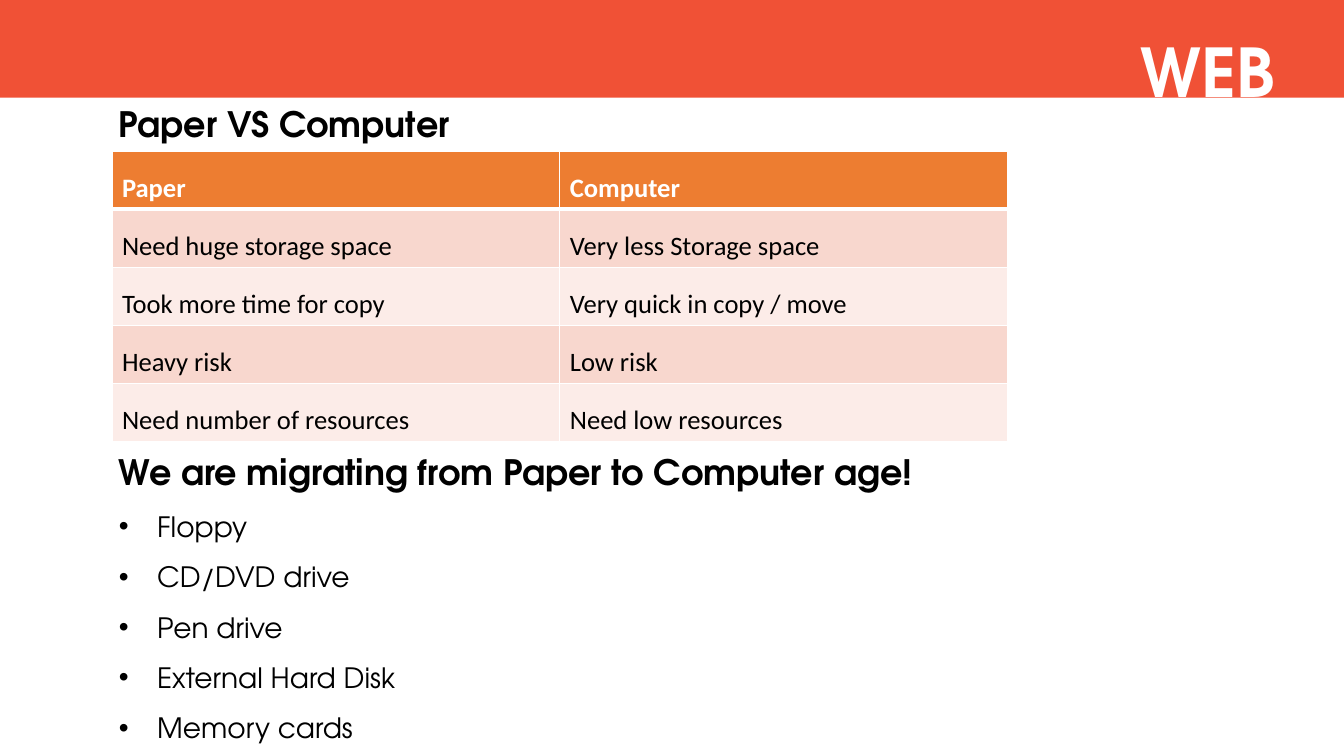
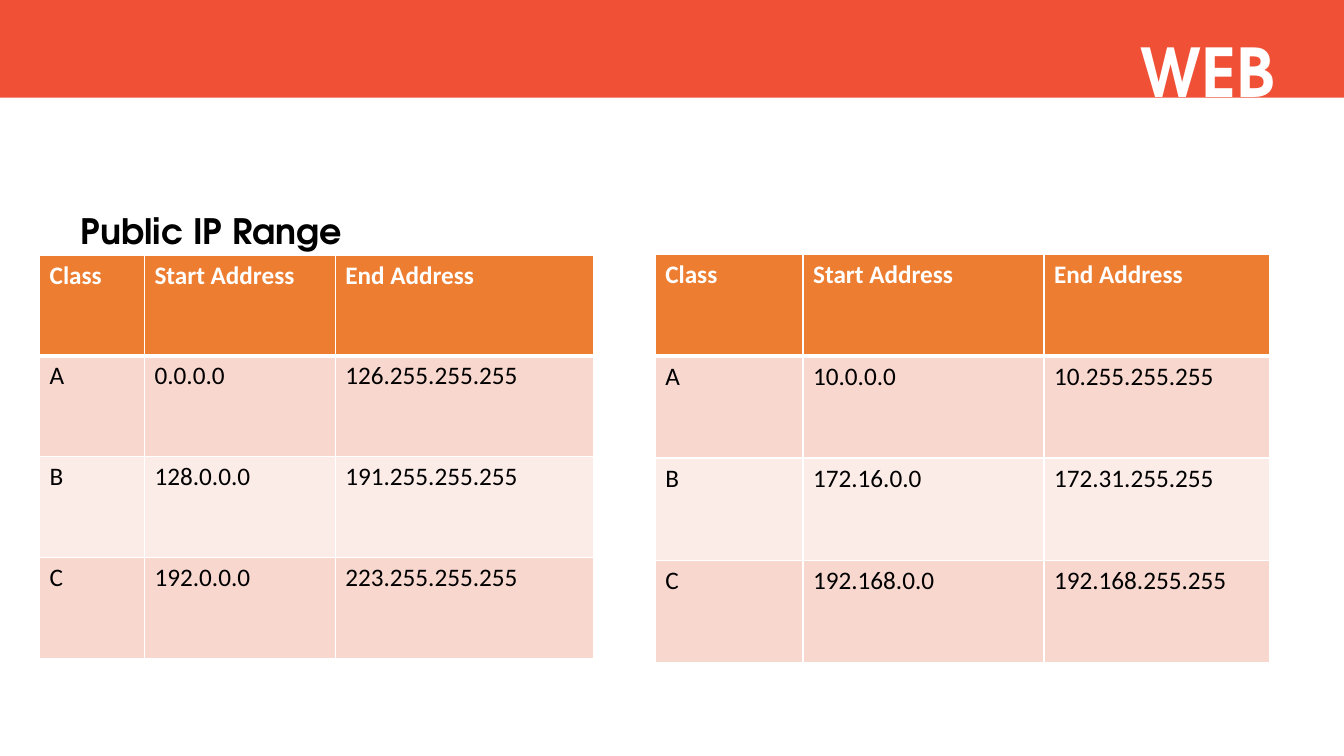
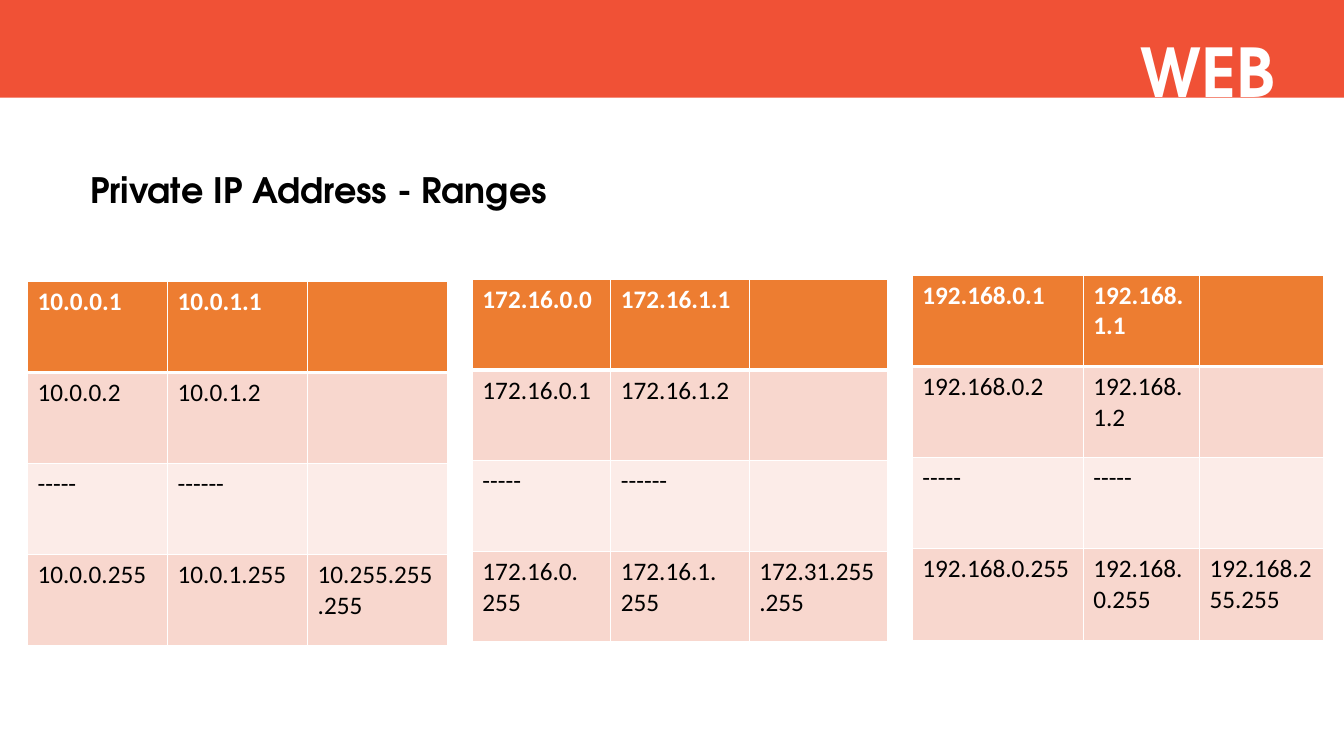
"""Build three slides on storage media and IP address ranges."""
from pptx import Presentation as Deck
from pptx.dml.color import RGBColor as Rgb
from pptx.enum.shapes import MSO_SHAPE as Kind
from pptx.enum.text import MSO_ANCHOR as Anchor, MSO_AUTO_SIZE as Auto, PP_ALIGN as Align
from pptx.oxml.ns import qn
from pptx.util import Inches, Pt
from lxml.etree import SubElement as Sub

WIDE, HIGH = Inches(13.33), Inches(7.5)
HUES = {"band": "F05136", "head": "ED7D31", "odd": "F8D7CE",
        "even": "FCECE8", "ink": "000000", "white": "FFFFFF"}
FACE, GRID = "TeX Gyre Adventor", "Calibri"


def hue(name):
    """Return a named colour."""
    return Rgb.from_string(HUES[name])


def across(share):
    """Turn a percentage of the width into a length."""
    return int(WIDE * share / 100)


def down(share):
    """Turn a percentage of the height into a length."""
    return int(HIGH * share / 100)


def area(left, top, width, height):
    """Turn four percentages into a place and a size."""
    return across(left), down(top), across(width), down(height)


def style(para, size, color="ink", bold=True, face=FACE):
    """Set the font of a paragraph."""
    font = para.font
    font.name, font.size, font.bold = face, Pt(size), bold
    font.color.rgb = hue(color)


def start(deck, text, left, top):
    """Add a slide with the shared band, its mark and a title."""
    slide = deck.slides.add_slide(deck.slide_layouts[5])
    title = slide.shapes.title
    title.left, title.top, title.width, title.height = area(left, top, 60, 6.67)
    frame = title.text_frame
    frame.text = text
    frame.auto_size, frame.vertical_anchor = Auto.NONE, Anchor.TOP
    para = frame.paragraphs[0]
    para.alignment, para.line_spacing = Align.LEFT, 1.0
    style(para, 25)

    band = slide.shapes.add_shape(Kind.RECTANGLE, *area(0, 0, 100, 12.93))
    band.shadow.inherit = False
    band.fill.solid()
    band.fill.fore_color.rgb = hue("band")
    band.line.fill.background()

    mark = slide.shapes.add_textbox(*area(31.88, 3.33, 63.75, 12.13)).text_frame
    mark.word_wrap = True
    mark.text = "WEB"
    mark.paragraphs[0].alignment = Align.RIGHT
    style(mark.paragraphs[0], 48, "white")
    return slide


def bullet(para):
    """Give a paragraph a hanging bullet."""
    props = para._p.get_or_add_pPr()
    props.set("marL", str(Inches(0.38)))
    props.set("indent", str(-Inches(0.38)))
    Sub(props, qn("a:buFont"), typeface="Arial")
    Sub(props, qn("a:buChar"), char="•")


def points(slide, head, items, place):
    """Add a heading with a bulleted list."""
    frame = slide.shapes.add_textbox(*area(*place)).text_frame
    frame.word_wrap = True
    frame.text = head
    style(frame.paragraphs[0], 25)
    for item in items:
        para = frame.add_paragraph()
        para.text = item
        para.line_spacing = 1.5
        style(para, 20, bold=False)
        bullet(para)


def edge(cell, row):
    """Draw white cell borders, thick under the header."""
    props = cell._tc.get_or_add_tcPr()
    for side in "LRTB":
        thick = (row, side) in ((0, "B"), (1, "T"))
        line = Sub(props, qn("a:ln" + side), w=str(Pt(3 if thick else 1)))
        Sub(Sub(line, qn("a:solidFill")), qn("a:srgbClr"), val=HUES["white"])


def table(slide, left, top, cols, step, rows, size=18, lead=1.0):
    """Add a banded table with a header row."""
    place = area(left, top, sum(cols), step * len(rows))
    grid = slide.shapes.add_table(len(rows), len(cols), *place).table
    for col, width in zip(grid.columns, cols):
        col.width = across(width)
    for r, row in enumerate(rows):
        grid.rows[r].height = down(step)
        fill = "head" if r == 0 else "odd" if r % 2 else "even"
        for c, text in enumerate(row):
            cell = grid.cell(r, c)
            cell.text = text
            edge(cell, r)
            cell.fill.solid()
            cell.fill.fore_color.rgb = hue(fill)
            for para in cell.text_frame.paragraphs:
                para.line_spacing = lead
                style(para, size, "ink" if r else "white", r == 0, GRID)


def media(deck):
    """Compare paper with the computer."""
    slide = start(deck, "Paper VS Computer", 8.1, 12.93)
    rows = [("Paper", "Computer"),
            ("Need huge storage space", "Very less Storage space"),
            ("Took more time for copy", "Very quick in copy / move"),
            ("Heavy risk", "Low risk"),
            ("Need number of resources", "Need low resources")]
    table(slide, 8.33, 20, [33.33] * 2, 7.1, rows, 19, 1.5)
    items = ["Floppy", "CD/DVD drive", "Pen drive", "External Hard Disk", "Memory cards"]
    points(slide, "We are migrating from Paper to Computer age!", items,
           (8.1, 58.93, 80, 41))


def public(deck):
    """Show the address classes."""
    slide = start(deck, "Public IP Range", 5.25, 27.07)
    head = ("Class", "Start Address", "End Address")
    table(slide, 2.95, 33.75, [7.8, 14.2, 19.2], 13.33, [
        head,
        ("A", "0.0.0.0", "126.255.255.255"),
        ("B", "128.0.0.0", "191.255.255.255"),
        ("C", "192.0.0.0", "223.255.255.255")])
    table(slide, 48.75, 33.6, [11, 17.93, 16.75], 13.5, [
        head,
        ("A", "10.0.0.0", "10.255.255.255"),
        ("B", "172.16.0.0", "172.31.255.255"),
        ("C", "192.168.0.0", "192.168.255.255")])


def private(deck):
    """Show the private ranges."""
    slide = start(deck, "Private IP Address - Ranges", 5.95, 21.6)
    table(slide, 2.05, 37.25, [10.42] * 3, 12.03, [
        ("10.0.0.1", "10.0.1.1", ""),
        ("10.0.0.2", "10.0.1.2", ""),
        ("-----", "------", ""),
        ("10.0.0.255", "10.0.1.255", "10.255.255.255")])
    table(slide, 35.15, 37, [10.3] * 3, 11.98, [
        ("172.16.0.0", "172.16.1.1", ""),
        ("172.16.0.1", "172.16.1.2", ""),
        ("-----", "------", ""),
        ("172.16.0.\n255", "172.16.1.\n255", "172.31.255.255")])
    table(slide, 67.88, 36.4, [12.72, 8.65, 9.27], 12.07, [
        ("192.168.0.1", "192.168.1.1", ""),
        ("192.168.0.2", "192.168.1.2", ""),
        ("-----", "-----", ""),
        ("192.168.0.255", "192.168.0.255", "192.168.255.255")])


def main():
    """Build and save the deck."""
    deck = Deck()
    deck.slide_width, deck.slide_height = WIDE, HIGH
    for build in (media, public, private):
        build(deck)
    deck.save("out.pptx")


if __name__ == "__main__":
    main()
